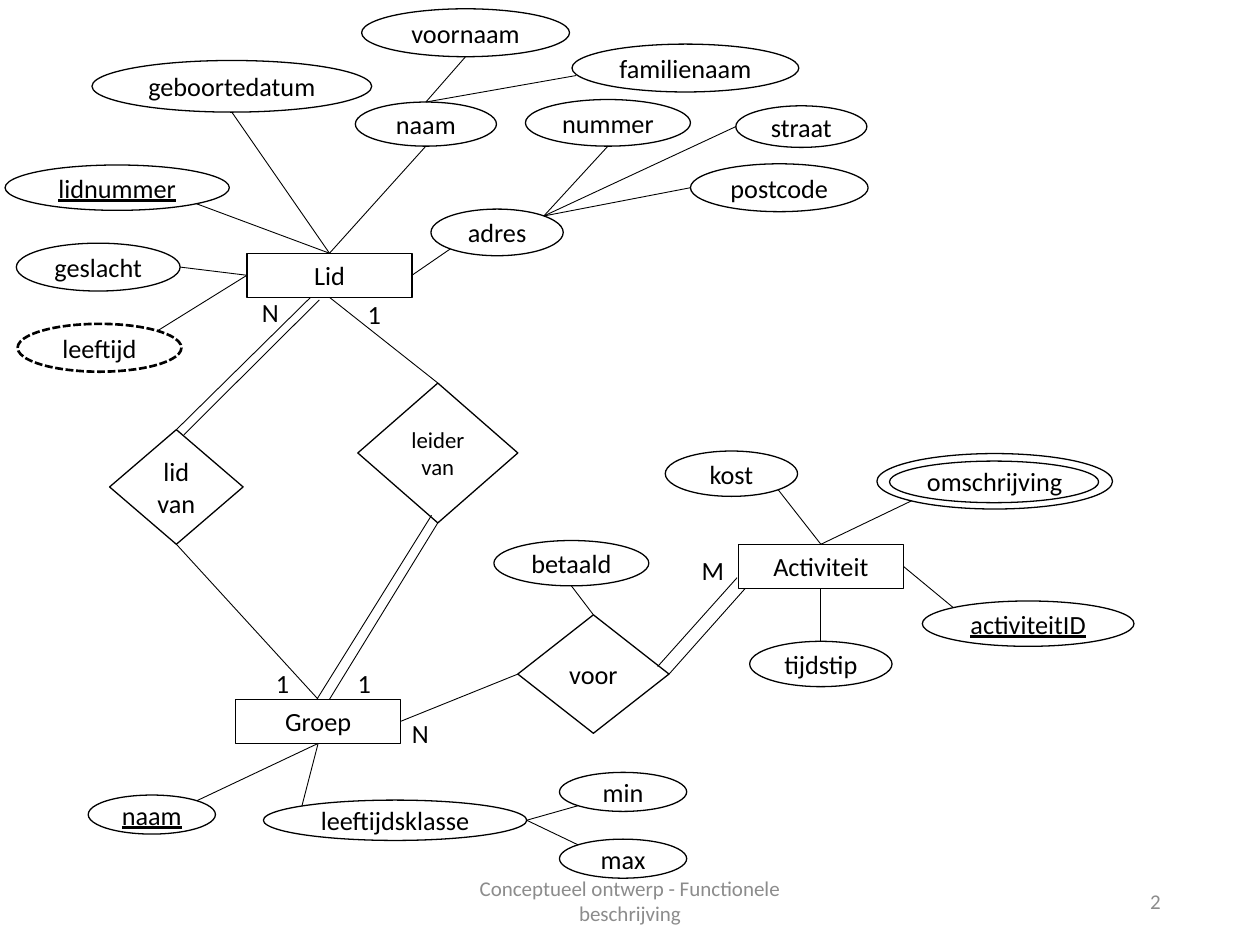
from dataclasses import dataclass
from math import sqrt

from lxml.etree import SubElement
from pptx import Presentation
from pptx.dml.color import RGBColor
from pptx.enum.dml import MSO_LINE
from pptx.enum.shapes import MSO_CONNECTOR, MSO_SHAPE
from pptx.enum.text import MSO_ANCHOR, PP_ALIGN
from pptx.oxml.ns import qn
from pptx.util import Inches, Pt


@dataclass(frozen=True)
class Theme:
    font: str = "Calibri"
    ink: RGBColor = RGBColor(0, 0, 0)
    paper: RGBColor = RGBColor(255, 255, 255)
    muted: RGBColor = RGBColor(0x8C, 0x8C, 0x8C)
    body: float = 15
    small: float = 13
    footer: float = 12
    outline: float = 0.75
    dashed: float = 1.5
    link: float = 0.5


CELL = 0.1  # grid of 100 columns by 75 rows, in inches
SIDES = {"n": (0, -1), "s": (0, 1), "w": (-1, 0), "e": (1, 0),
         "nw": (-1, -1), "ne": (1, -1), "sw": (-1, 1), "se": (1, 1)}

# A key is "owner.name" where a name occurs twice; boxes are column, row, columns, rows.
ENTITIES = {
    "Lid": (19.6, 20.1, 13.1, 3.5),
    "Groep": (18.7, 55.5, 13.1, 3.5),
    "Activiteit": (58.6, 43.2, 13.1, 3.5),
}
RELATIONS = {
    "lid van": (8.7, 34.1, 10.6, 9.1),
    "leider van": (28.4, 30.4, 12.7, 11.1),
    "voor": (41.1, 48.8, 12, 9.4),
}
CLEAR_ATTRIBUTES = {
    "lidnummer": (0.4, 13.1, 17.8, 3.6),
    "geboortedatum": (7.3, 4.8, 22.2, 4.1),
    "adres": (34.2, 16.6, 10.5, 3.7),
    "leeftijd": (1.4, 25.7, 13, 3.8),
    "Groep.naam": (7, 63.1, 10.1, 3.1),
    "leeftijdsklasse": (20.9, 63.5, 20.9, 3.2),
    "omschrijving": (69.6, 36, 18.7, 4.4),
    "kost": (52.8, 35.8, 10.5, 3.6),
    "activiteitID": (73.2, 47.7, 16.8, 3.6),
}
FILLED_ATTRIBUTES = {
    "voornaam": (28.7, 0.7, 16.5, 3.8),
    "familienaam": (45.4, 3.5, 18, 3.8),
    "Lid.naam": (28.2, 8.1, 11.2, 3.5),
    "nummer": (41.7, 7.9, 13.1, 3.7),
    "straat": (58.4, 8.4, 10.4, 3.3),
    "postcode": (54.8, 13, 14.1, 3.8),
    "geslacht": (1.3, 19.3, 13, 3.8),
    "betaald": (39.2, 42.9, 12.3, 3.6),
    "tijdstip": (59.5, 50.9, 11.3, 3.6),
    "min": (44.4, 61.3, 10.1, 3.1),
    "max": (44.4, 66.6, 10.1, 3.1),
}
MULTIVALUED_RING = (70.6, 36.6, 16.6, 3.3)
KEYS = {"lidnummer", "Groep.naam", "activiteitID"}
DERIVED = {"leeftijd"}

# Each end is a node, a side and, where needed, a shift in columns and rows.
LINKS = [
    (("voornaam", "s"), ("Lid.naam", "n")),
    (("familienaam", "w", 0.3, 0.6), ("Lid.naam", "n")),
    (("Lid.naam", "s"), ("Lid", "n")),
    (("geboortedatum", "s"), ("Lid", "n")),
    (("lidnummer", "se"), ("Lid", "n")),
    (("geslacht", "e"), ("Lid", "w")),
    (("leeftijd", "ne"), ("Lid", "w")),
    (("adres", "sw"), ("Lid", "e")),
    (("nummer", "s"), ("adres", "ne")),
    (("straat", "w"), ("adres", "ne")),
    (("postcode", "w"), ("adres", "ne")),
    (("Groep", "s"), ("Groep.naam", "ne")),
    (("Groep", "s"), ("leeftijdsklasse", "nw")),
    (("min", "sw"), ("leeftijdsklasse", "e")),
    (("max", "nw"), ("leeftijdsklasse", "e")),
    (("kost", "se"), ("Activiteit", "n")),
    (("omschrijving", "sw"), ("Activiteit", "n")),
    (("activiteitID", "nw"), ("Activiteit", "e")),
    (("tijdstip", "n"), ("Activiteit", "s")),
    (("betaald", "s"), ("voor", "n")),
    (("lid van", "s"), ("Groep", "n")),
    (("Lid", "s"), ("leider van", "n")),
    (("voor", "w"), ("Groep", "e")),
    # Total participation: two lines side by side
    (("lid van", "n"), ("Lid", "s", -1.5, 0)),
    (("lid van", "n", 0.6, 0.4), ("Lid", "s", -0.8, 0.2)),
    (("leider van", "s"), ("Groep", "n", 0.9, 0)),
    (("leider van", "s", -0.5, -0.6), ("Groep", "n", -0.1, 0)),
    (("voor", "e"), ("Activiteit", "s", -6, 0)),
    (("voor", "e", -0.9, -0.6), ("Activiteit", "w", -0.1, 0.9)),
]
CARDINALITIES = [
    ("N", (19.8, 23, 3.4, 3.5)), ("1", (28.2, 23.2, 3.1, 3.5)),
    ("1", (20.9, 52.5, 3.1, 3.5)), ("1", (27.4, 52.5, 3.1, 3.5)),
    ("N", (31.7, 56.4, 3.4, 3.5)), ("M", (54.7, 43.5, 3.8, 3.5)),
]


class Diagram:
    """Draws the parts of an entity-relationship diagram on one slide."""

    def __init__(self, s, theme):
        self.s, self.theme = s, theme
        self.nodes = {}

    def grid(self, *cells):
        return [Inches(c * CELL) for c in cells]

    def set_text(self, tf, text, size, color, align):
        p = tf.paragraphs[0]
        p.text, p.alignment = text, align
        p.font.name, p.font.size = self.theme.font, Pt(size)
        p.font.color.rgb = color
        return p

    def outline(self, kind, box, filled=False):
        sp = self.s.shapes.add_shape(kind, *self.grid(*box))
        sp.shadow.inherit = False
        if filled:
            sp.fill.solid()
            sp.fill.fore_color.rgb = self.theme.paper
        else:
            sp.fill.background()
        sp.line.color.rgb = self.theme.ink
        sp.line.width = Pt(self.theme.outline)
        return sp

    def node(self, kind, key, box, filled=False, size=None):
        sp = self.outline(kind, box, filled)
        tf = sp.text_frame
        tf.word_wrap, tf.vertical_anchor = True, MSO_ANCHOR.MIDDLE
        tf.margin_left = tf.margin_right = tf.margin_top = tf.margin_bottom = 0
        p = self.set_text(tf, key.split(".")[-1], size or self.theme.body,
                          self.theme.ink, PP_ALIGN.CENTER)
        if key in KEYS:
            p.font.underline = True
        if key in DERIVED:
            sp.line.width = Pt(self.theme.dashed)
            sp.line.dash_style = MSO_LINE.SQUARE_DOT
        self.nodes[key] = box

    def anchor(self, key, side, dx=0, dy=0):
        """Point on a node's edge; diagonal sides lie on the ellipse at 45 degrees."""
        x, y, w, h = self.nodes[key]
        sx, sy = SIDES[side]
        reach = 1 / sqrt(sx * sx + sy * sy) / 2
        return x + w / 2 + sx * w * reach + dx, y + h / 2 + sy * h * reach + dy

    def link(self, start, end):
        points = self.grid(*self.anchor(*start), *self.anchor(*end))
        line = self.s.shapes.add_connector(MSO_CONNECTOR.STRAIGHT, *points)
        line.line.color.rgb = self.theme.ink
        line.line.width = Pt(self.theme.link)
        SubElement(line._element.spPr, qn("a:effectLst"))

    def label(self, text, box):
        tf = self.s.shapes.add_textbox(*self.grid(*box)).text_frame
        tf.word_wrap = False
        self.set_text(tf, text, self.theme.body, self.theme.ink, PP_ALIGN.LEFT)

    def footer(self, text, box, align):
        tf = self.s.shapes.add_textbox(*self.grid(*box)).text_frame
        tf.word_wrap, tf.vertical_anchor = True, MSO_ANCHOR.MIDDLE
        self.set_text(tf, text, self.theme.footer, self.theme.muted, align)


def main():
    prs = Presentation()
    prs.slide_width, prs.slide_height = Inches(10), Inches(7.5)
    theme = Theme()
    d = Diagram(prs.slides.add_slide(prs.slide_layouts[6]), theme)

    for key, box in ENTITIES.items():
        d.node(MSO_SHAPE.RECTANGLE, key, box)
    for key, box in RELATIONS.items():
        size = theme.small if key == "leider van" else theme.body
        d.node(MSO_SHAPE.DIAMOND, key, box, True, size)
    for group, filled in ((CLEAR_ATTRIBUTES, False), (FILLED_ATTRIBUTES, True)):
        for key, box in group.items():
            d.node(MSO_SHAPE.OVAL, key, box, filled)
    d.outline(MSO_SHAPE.OVAL, MULTIVALUED_RING)
    for start, end in LINKS:
        d.link(start, end)
    for text, box in CARDINALITIES:
        d.label(text, box)
    d.footer("Conceptueel ontwerp - Functionele beschrijving",
             (33.1, 69.5, 33.8, 4), PP_ALIGN.CENTER)
    d.footer("2", (70.6, 69.5, 22.5, 4), PP_ALIGN.RIGHT)
    prs.save("out.pptx")


if __name__ == "__main__":
    main()
